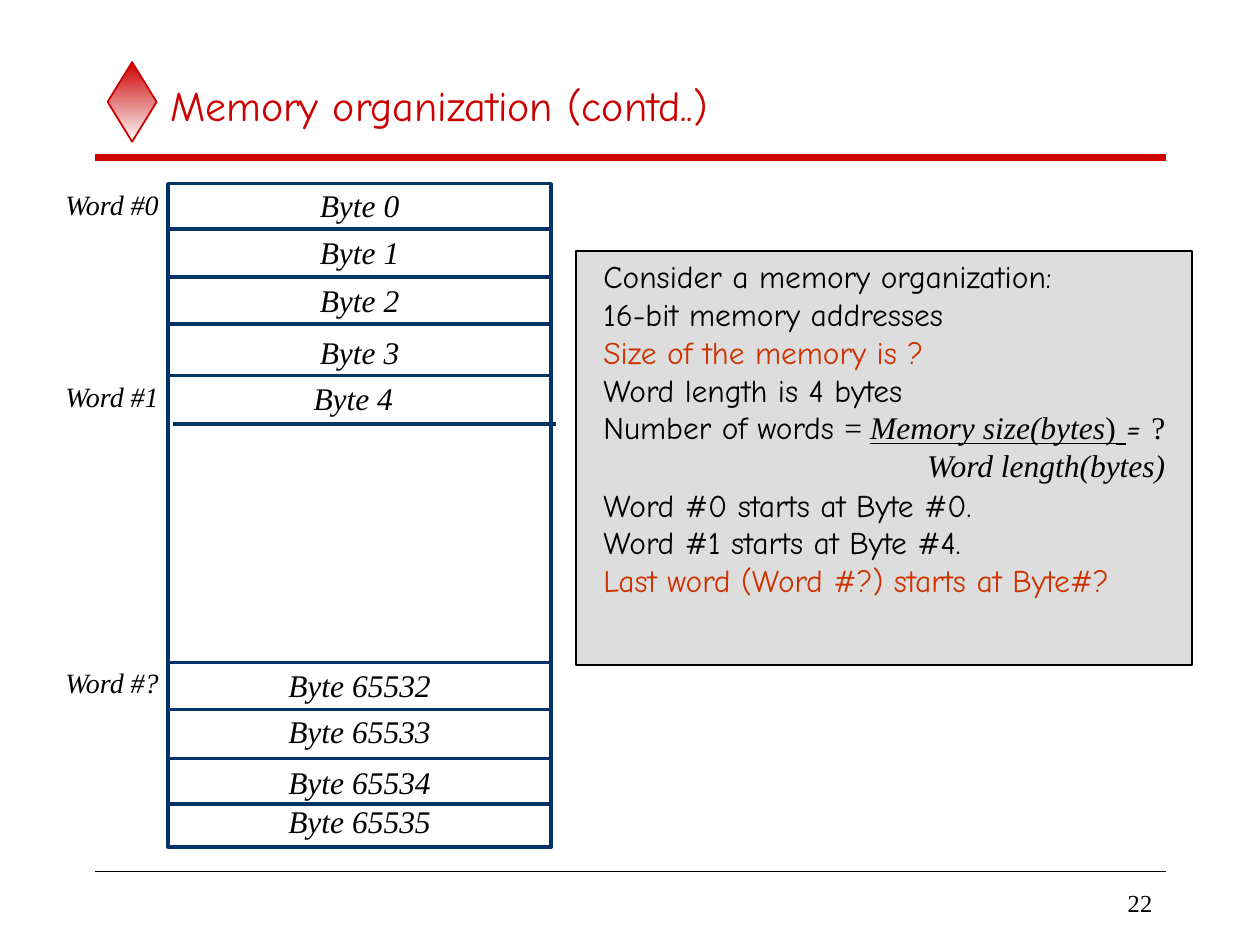
from lxml import etree
from pptx import Presentation
from pptx.dml.color import RGBColor
from pptx.enum import shapes, text
from pptx.oxml.ns import qn
from pptx.util import Pt

COLORS = {"red": "CC0000", "orange": "CC3300", "navy": "003366", "gray": "DDDDDD",
          "black": "000000", "white": "FFFFFF", "pale": "FEFEFE"}
COMIC, TIMES = "Comic Neue", "Times New Roman"

TITLE = "Memory organization (contd..)"
PAGE_NUMBER = "22"
MEMORY = (96, 105, 219, 379)
# label, top of its text, height of the line between it and its neighbour
BYTES = [("Byte 0", 103, 131), ("Byte 1", 129.5, 158.4), ("Byte 2", 157, 185.3),
         ("Byte 3", 186.5, 214.6), ("Byte 65532", 377.3, 378.7),
         ("Byte 65533", 403.2, 405.4), ("Byte 65534", 432.7, 433.4),
         ("Byte 65535", 455, 459.4)]
SHIFTED_BYTE = ("Byte 4", 213.1, 242.3)
WORDS = [("Word #0", 103.7), ("Word #1", 213.1), ("Word #?", 376.6)]

PLAIN = {"name": COMIC}
ASK = {"name": COMIC, "color": "orange"}
SERIF = {"name": TIMES}
SLANTED = {"name": TIMES, "italic": True}
FACTS = [
    [("Consider a memory organization:", PLAIN)],
    [("16-bit memory addresses", PLAIN)],
    [("Size of the memory is ?", ASK)],
    [("Word length is 4 bytes", PLAIN)],
    [("Number of words ", PLAIN), ("= ", SERIF),
     ("Memory size(bytes", {**SLANTED, "underline": True}),
     (")", {**SERIF, "underline": True}),
     (" ", {**PLAIN, "italic": True, "underline": True}),
     ("= ", {**PLAIN, "italic": True}), ("?", SERIF)],
    [("Word length(bytes)", SLANTED)],
    [("Word #0 starts at Byte #0.", PLAIN)],
    [("Word #1 starts at Byte #4.", PLAIN)],
    [("Last word (Word #?) starts at Byte#?", ASK)],
]
DENOMINATOR = 5


def rgb(name):
    return RGBColor.from_string(COLORS[name])


def write(para, content, size=18, color="black", **style):
    span = para.add_run()
    span.text = content
    span.font.size = Pt(size)
    span.font.color.rgb = rgb(color)
    for key, value in style.items():
        setattr(span.font, key, value)


def add_label(page, content, place, size=18, align=text.PP_ALIGN.CENTER, **style):
    box = page.shapes.add_textbox(*map(Pt, place))
    box.text_frame.word_wrap = True
    para = box.text_frame.paragraphs[0]
    para.alignment = align
    write(para, content, size, name=TIMES, **style)
    return box


def add_line(page, left, right, y, color, width):
    line = page.shapes.add_connector(shapes.MSO_CONNECTOR.STRAIGHT,
                                     Pt(left), Pt(y), Pt(right), Pt(y))
    line.line.color.rgb = rgb(color)
    line.line.width = Pt(width)
    etree.SubElement(line._element.spPr, qn("a:effectLst"))


def add_outline(page, kind, place, color, width, fill=None):
    shape = page.shapes.add_shape(kind, *map(Pt, place))
    shape.shadow.inherit = False
    shape.line.color.rgb = rgb(color)
    shape.line.width = Pt(width)
    if fill:
        shape.fill.solid()
        shape.fill.fore_color.rgb = rgb(fill)
    return shape


def add_header(page):
    diamond = add_outline(page, shapes.MSO_SHAPE.DIAMOND, (61.5, 35.5, 28, 45.5), "red", 1)
    diamond.fill.gradient()
    diamond.fill.gradient_angle = 270
    for stop, name in zip(diamond.fill.gradient_stops, ("red", "pale")):
        stop.color.rgb = rgb(name)
    add_line(page, 54, 666, 90, "red", 4)

    title = page.shapes.title
    for side, value in zip(("left", "top", "width", "height"), (90, 36, 576, 48)):
        setattr(title, side, Pt(value))
    title.text_frame.vertical_anchor = text.MSO_ANCHOR.MIDDLE
    para = title.text_frame.paragraphs[0]
    para.alignment = text.PP_ALIGN.LEFT
    write(para, TITLE, 24, "red", name=COMIC)


def add_memory(page):
    left, _, width, _ = MEMORY
    add_outline(page, shapes.MSO_SHAPE.RECTANGLE, MEMORY, "navy", 2, "white")
    rows = [(row, 0, 0) for row in BYTES] + [(SHIFTED_BYTE, -3.6, 3)]
    for (label, top, line_y), label_shift, line_shift in rows:
        add_line(page, left + line_shift, left + width + line_shift, line_y, "navy", 2)
        add_label(page, label, (left + label_shift, top, width, 28.8), italic=True)
    for label, top in WORDS:
        add_label(page, label, (28, top, 72, 26.5), 16, italic=True)


def add_facts(page):
    add_outline(page, shapes.MSO_SHAPE.RECTANGLE, (329, 143.5, 352, 236.5),
                "black", 1, "gray")
    box = page.shapes.add_textbox(Pt(337.7), Pt(143.5), Pt(338.4), Pt(201.6))
    frame = box.text_frame
    frame.word_wrap = False
    frame.auto_size = text.MSO_AUTO_SIZE.SHAPE_TO_FIT_TEXT
    for index, spans in enumerate(FACTS):
        para = frame.add_paragraph() if index else frame.paragraphs[0]
        para.alignment = text.PP_ALIGN.LEFT
        if index == DENOMINATOR:
            para.alignment = text.PP_ALIGN.RIGHT
            para.space_after = Pt(0.9)
        for content, style in spans:
            write(para, content, **style)


def main():
    deck = Presentation()
    deck.slide_width, deck.slide_height = Pt(720), Pt(540)
    page = deck.slides.add_slide(deck.slide_layouts[5])
    add_header(page)
    add_memory(page)
    add_facts(page)
    add_line(page, 54, 666, 498, "black", 1)
    number = add_label(page, PAGE_NUMBER, (564, 504, 101.5, 24), 14, text.PP_ALIGN.RIGHT)
    number.text_frame.vertical_anchor = text.MSO_ANCHOR.MIDDLE
    deck.save("out.pptx")


if __name__ == "__main__":
    main()
